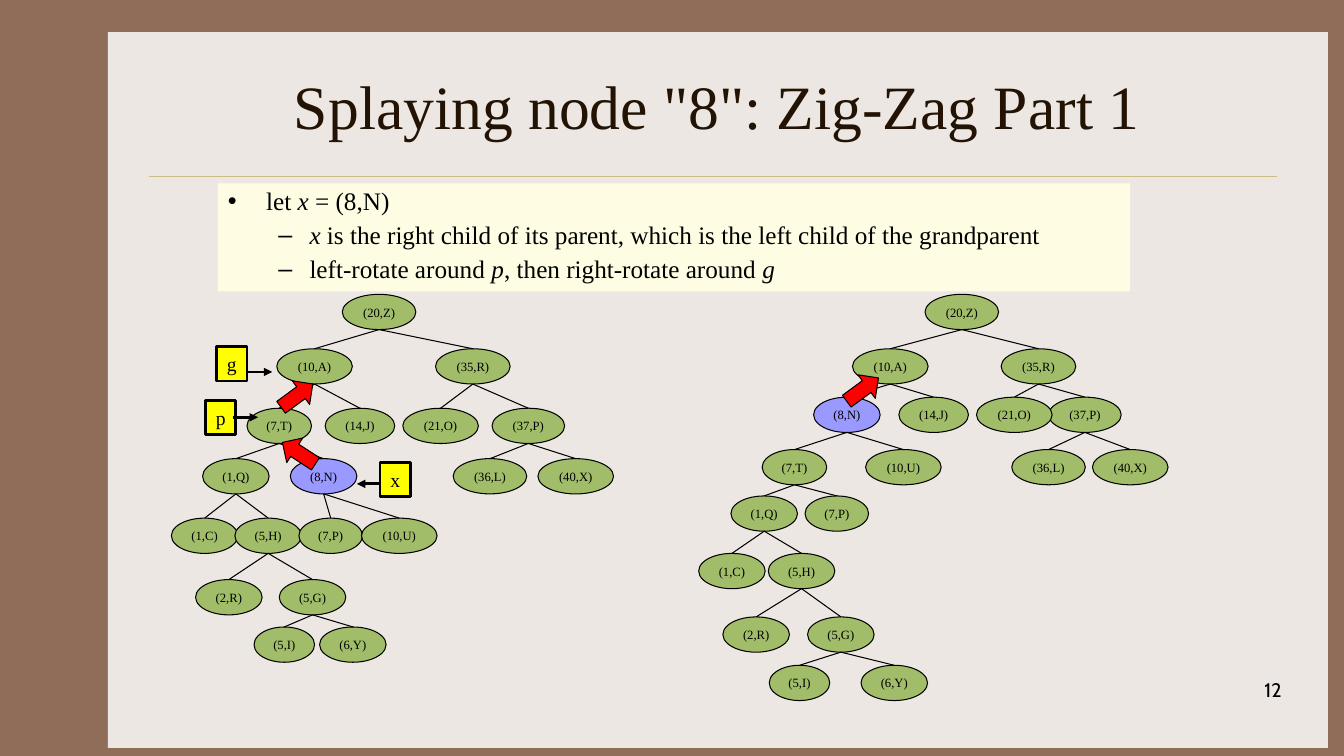
import pptx
import pptx.util
import pptx.dml.color
import pptx.enum.shapes
import pptx.enum.text
import pptx.oxml.ns
from lxml import etree

Inches, Pt = pptx.util.Inches, pptx.util.Pt
RGBColor = pptx.dml.color.RGBColor
Shape = pptx.enum.shapes.MSO_SHAPE
Align = pptx.enum.text.PP_ALIGN
Anchor = pptx.enum.text.MSO_ANCHOR
qn = pptx.oxml.ns.qn

BROWN = RGBColor(0x90, 0x6D, 0x58)
PAPER = RGBColor(0xED, 0xE7, 0xE3)
GOLD = RGBColor(0xCB, 0xBD, 0x83)
CREAM = RGBColor(0xFE, 0xFD, 0xE3)
TITLE_BROWN = RGBColor(0x22, 0x13, 0x04)
GREEN = RGBColor(0xA1, 0xBD, 0x69)
VIOLET = RGBColor(0x99, 0x99, 0xFF)
RED = RGBColor(0xFF, 0x00, 0x00)
YELLOW = RGBColor(0xFF, 0xFF, 0x00)
BLACK = RGBColor(0x00, 0x00, 0x00)
SERIF = "Times New Roman"

presentation = pptx.Presentation()
presentation.slide_width = Inches(13.33)
presentation.slide_height = Inches(7.5)
slide = presentation.slides.add_slide(presentation.slide_layouts[1])
slide.background.fill.solid()
slide.background.fill.fore_color.rgb = BROWN


def add_shape(kind, box, fill, line_width=0, text="", size=9):
    """Add a flat shape, outlined in black if line_width is given; box is in inches."""
    shape = slide.shapes.add_shape(kind, *map(Inches, box))
    shape.shadow.inherit = False
    shape.fill.solid()
    shape.fill.fore_color.rgb = fill
    if line_width:
        shape.line.color.rgb = BLACK
        shape.line.width = Pt(line_width)
    else:
        shape.line.fill.background()
    if text:
        frame = shape.text_frame
        frame.word_wrap = False
        frame.vertical_anchor = Anchor.MIDDLE
        frame.margin_left = frame.margin_right = frame.margin_top = frame.margin_bottom = 0
        paragraph = frame.paragraphs[0]
        paragraph.text = text
        paragraph.alignment = Align.CENTER
        paragraph.font.name = SERIF
        paragraph.font.size = Pt(size)
        paragraph.font.color.rgb = BLACK
    return shape


def add_line(start, end, color=BLACK, width=0.75, arrow=False):
    connector = slide.shapes.add_connector(
        pptx.enum.shapes.MSO_CONNECTOR.STRAIGHT, *map(Inches, (*start, *end)))
    connector.line.color.rgb = color
    connector.line.width = Pt(width)
    properties = connector._element.spPr
    if arrow:
        etree.SubElement(properties.find(qn("a:ln")), qn("a:tailEnd"), type="triangle")
    etree.SubElement(properties, qn("a:effectLst"))
    return connector


# Panel and rule go behind the placeholders
panel = add_shape(Shape.RECTANGLE, (1.07, 0.32, 12.1, 7.1), PAPER)
rule = add_line((1.48, 1.75), (12.67, 1.75), GOLD, 0.25)
for depth, backdrop in enumerate((panel, rule)):
    slide.shapes._spTree.insert(2 + depth, backdrop._element)

# Title and body
title, body = slide.placeholders
for placeholder, box in ((title, (1.56, 0.42, 11.11, 1.25)), (body, (2.16, 1.82, 9.05, 1.07))):
    placeholder.left, placeholder.top, placeholder.width, placeholder.height = map(Inches, box)
    placeholder.text_frame.auto_size = pptx.enum.text.MSO_AUTO_SIZE.NONE
title.text_frame.vertical_anchor = Anchor.MIDDLE
heading = title.text_frame.paragraphs[0]
heading.text = 'Splaying node "8": Zig-Zag Part 1'
heading.alignment = Align.CENTER
heading.font.name = SERIF
heading.font.size = Pt(44)
heading.font.color.rgb = TITLE_BROWN

body.fill.solid()
body.fill.fore_color.rgb = CREAM
body.text_frame.vertical_anchor = Anchor.TOP
# Each line: level, then its runs; one-letter runs are italic variables
body_lines = [
    (0, ["let ", "x", " = (8,N)"]),
    (1, ["x", " is the right child of its parent, which is the left child of the grandparent"]),
    (1, ["left-rotate around ", "p", ", then right-rotate around ", "g"]),
]
bullets = [("•", 0.38, 0.38), ("–", 0.81, 0.31)]
for index, (level, runs) in enumerate(body_lines):
    paragraph = body.text_frame.add_paragraph() if index else body.text_frame.paragraphs[0]
    bullet, margin, hanging = bullets[level]
    paragraph.level = level
    paragraph.line_spacing = 0.9
    paragraph.space_before = Pt(5 if index else 0)
    properties = paragraph._p.get_or_add_pPr()
    properties.set("marL", str(Inches(margin)))
    properties.set("indent", str(-Inches(hanging)))
    etree.SubElement(properties, qn("a:buChar"), char=bullet)
    paragraph.font.name = SERIF
    paragraph.font.size = Pt(18)
    paragraph.font.color.rgb = BLACK
    for text in runs:
        run = paragraph.add_run()
        run.text = text
        run.font.italic = len(text) == 1

# Slide number
number_box = slide.shapes.add_textbox(*map(Inches, (10.03, 6.68, 2.78, 0.5)))
number_box.text_frame.word_wrap = True
number = number_box.text_frame.paragraphs[0]
number.text = "12"
number.alignment = Align.RIGHT
number.font.name = "Cabin"
number.font.size = Pt(14)
number.font.color.rgb = BLACK

# Trees: top of each level, then (key, centre x, parent)
NODE_HEIGHT = 0.35
node_widths = {
    "20,Z": 0.73, "10,A": 0.75, "35,R": 0.74, "14,J": 0.69, "21,O": 0.75, "37,P": 0.72,
    "36,L": 0.73, "40,X": 0.75, "10,U": 0.75, "7,T": 0.64, "7,P": 0.63, "5,I": 0.6,
}
tree_before = [
    ("20,Z", 3.76, None), ("10,A", 3.12, "20,Z"), ("35,R", 4.69, "20,Z"),
    ("7,T", 2.77, "10,A"), ("14,J", 3.57, "10,A"), ("37,P", 5.24, "35,R"),
    ("21,O", 4.37, "35,R"), ("1,Q", 2.34, "7,T"), ("8,N", 3.21, "7,T"),
    ("36,L", 4.86, "37,P"), ("40,X", 5.71, "37,P"), ("1,C", 2.03, "1,Q"),
    ("5,H", 2.66, "1,Q"), ("7,P", 3.28, "8,N"), ("10,U", 3.96, "8,N"),
    ("2,R", 2.27, "5,H"), ("5,G", 3.1, "5,H"), ("5,I", 2.82, "5,G"), ("6,Y", 3.5, "5,G"),
]
tree_after = [
    ("20,Z", 9.54, None), ("10,A", 8.83, "20,Z"), ("35,R", 10.3, "20,Z"),
    ("8,N", 8.4, "10,A"), ("14,J", 9.26, "10,A"), ("37,P", 10.76, "35,R"),
    ("21,O", 10.06, "35,R"), ("7,T", 7.88, "8,N"), ("10,U", 8.96, "8,N"),
    ("36,L", 10.4, "37,P"), ("40,X", 11.21, "37,P"), ("1,Q", 7.58, "7,T"),
    ("7,P", 8.3, "7,T"), ("1,C", 7.26, "1,Q"), ("5,H", 7.95, "1,Q"),
    ("2,R", 7.5, "5,H"), ("5,G", 8.34, "5,H"), ("5,I", 7.93, "5,G"), ("6,Y", 8.87, "5,G"),
]
trees = [
    ([2.92, 3.46, 4.05, 4.55, 5.14, 5.75, 6.22], tree_before),
    ([2.92, 3.46, 3.94, 4.46, 4.92, 5.49, 6.12, 6.6], tree_after),
]
for level_tops, nodes in trees:
    placed = {}
    for key, center, parent in nodes:
        level = placed[parent][1] + 1 if parent else 0
        placed[key] = (center, level)
        top = level_tops[level]
        width = node_widths.get(key, 0.66)
        add_shape(Shape.OVAL, (center - width / 2, top, width, NODE_HEIGHT),
                  VIOLET if key == "8,N" else GREEN, 0.75, f"({key})")
        if parent:
            parent_center, parent_level = placed[parent]
            add_line((parent_center, level_tops[parent_level] + NODE_HEIGHT), (center, top))

# Red rotation arrows
for left, top, rotation in ((2.82, 4.3, 123), (2.8, 3.73, 233.7), (8.41, 3.67, 233.7)):
    arrow = add_shape(Shape.DOWN_ARROW, (left, top, 0.29, 0.39), RED, 0.75)
    arrow.rotation = rotation

# Pointers to x, p and g: label corner, then the arrow's start, end and height
pointers = [
    ("x", 3.77, 4.59, 3.76, 3.54, 4.8),
    ("p", 2.04, 3.97, 2.31, 2.56, 4.14),
    ("g", 2.15, 3.44, 2.46, 2.7, 3.69),
]
for name, left, top, start, end, height in pointers:
    add_shape(Shape.RECTANGLE, (left, top, 0.3, 0.34), YELLOW, 2, name, 14)
    add_line((start, height), (end, height), width=2, arrow=True)

presentation.save("out.pptx")
